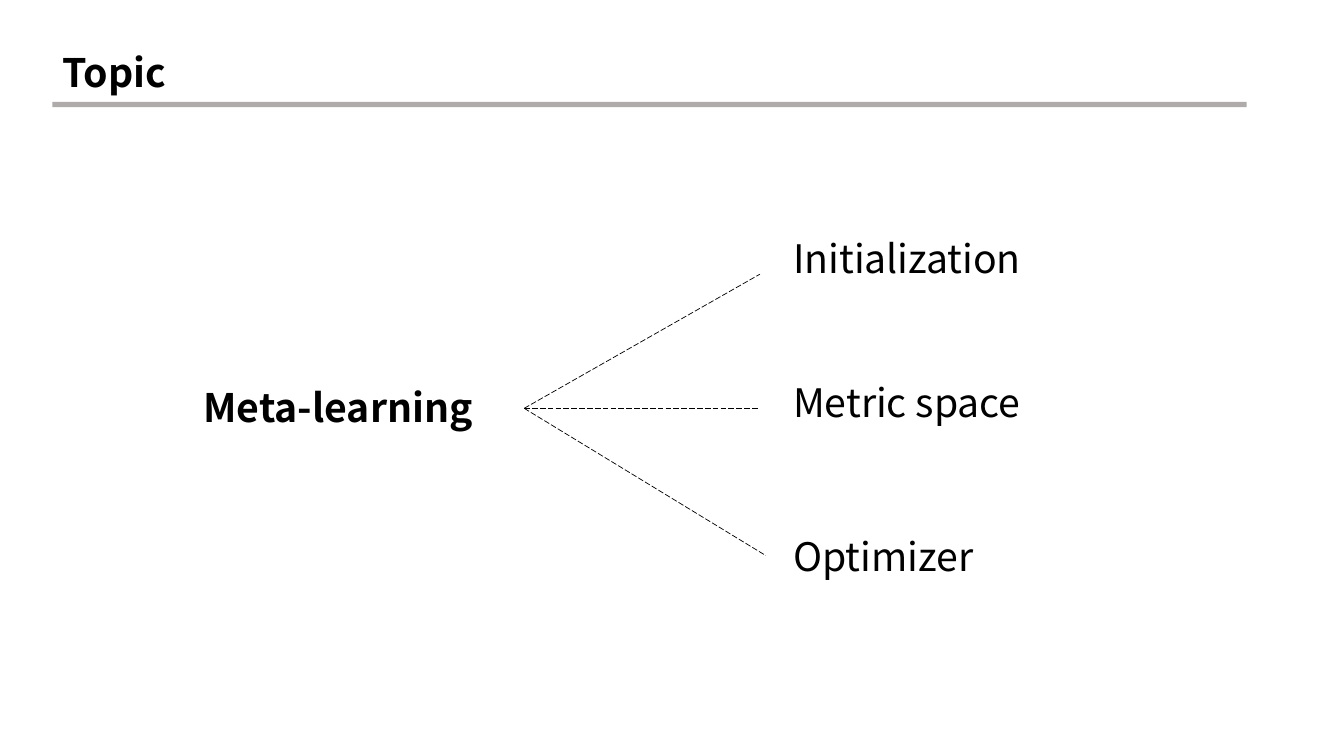
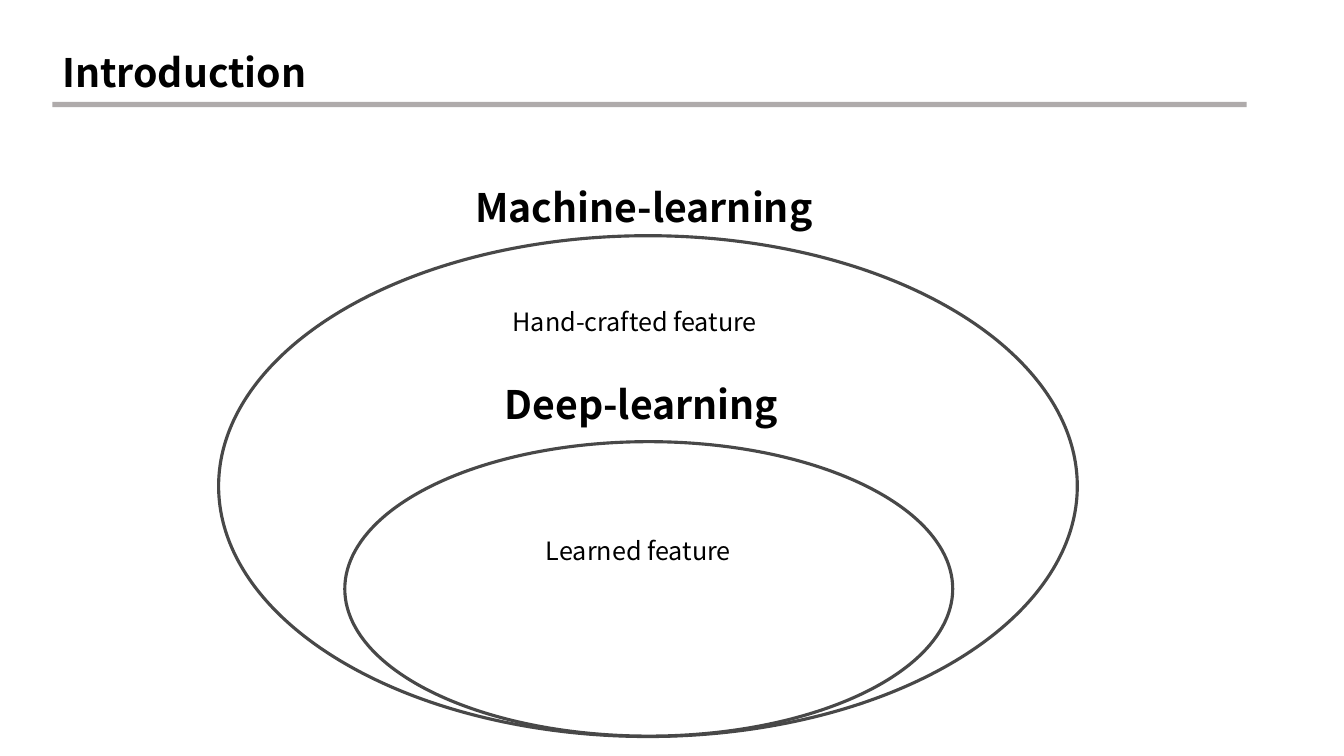
from dataclasses import dataclass

from pptx import Presentation
from pptx.dml.color import RGBColor
from pptx.enum.dml import MSO_LINE
from pptx.enum.shapes import MSO_CONNECTOR, MSO_SHAPE
from pptx.enum.text import MSO_AUTO_SIZE
from pptx.oxml.xmlchemy import OxmlElement
from pptx.util import Cm, Pt

STRAIGHT = MSO_CONNECTOR.STRAIGHT
RECTANGLE = MSO_SHAPE.RECTANGLE
OVAL = MSO_SHAPE.OVAL
LONG_DASH = MSO_LINE.LONG_DASH
GROW = MSO_AUTO_SIZE.SHAPE_TO_FIT_TEXT


@dataclass
class Theme:
    font: str = "Noto Sans CJK KR"
    ink: RGBColor = RGBColor(0x00, 0x00, 0x00)
    paper: RGBColor = RGBColor(0xFF, 0xFF, 0xFF)
    rule: RGBColor = RGBColor(0xAF, 0xAB, 0xAB)
    outline: RGBColor = RGBColor(0x48, 0x48, 0x48)
    large: int = 28
    small: int = 18


theme = Theme()
HEADING = {"size": Pt(theme.large), "bold": True}
TOPIC = {"size": Pt(theme.large), "bold": False}
NOTE = {"size": Pt(theme.small), "bold": False}
BOX_HEIGHT = {HEADING["size"]: 1.45, NOTE["size"]: 1.02}


def add_label(page, text, left, top, width, style):
    height = BOX_HEIGHT[style["size"]]
    box = page.shapes.add_textbox(Cm(left), Cm(top), Cm(width), Cm(height))
    box.text_frame.word_wrap = True
    box.text_frame.auto_size = GROW
    span = box.text_frame.paragraphs[0].add_run()
    span.text = text
    for name, value in {"name": theme.font, **style}.items():
        setattr(span.font, name, value)
    span.font.color.rgb = theme.ink


def add_page(deck, title):
    page = deck.slides.add_slide(deck.slide_layouts[6])
    rule = page.shapes.add_shape(RECTANGLE, Cm(1.32), Cm(2.57), Cm(30.1), Cm(0.13))
    rule.shadow.inherit = False
    rule.fill.solid()
    rule.fill.fore_color.rgb = theme.rule
    rule.line.fill.background()
    add_label(page, title, 1.32, 1.09, 20.35, HEADING)
    return page


deck = Presentation()
deck.slide_width = Cm(33.87)
deck.slide_height = Cm(19.05)

topic_page = add_page(deck, "Topic")
add_label(topic_page, "Meta-learning", 4.88, 9.53, 8.2, HEADING)
fork_x, fork_y = 13.21, 10.29
branches = [
    ("Initialization", 5.77, 19.15, 6.91),
    ("Metric space", 9.4, 19.15, fork_y),
    ("Optimizer", 13.28, 19.3, 14),
]
for text, top, end_x, end_y in branches:
    branch = topic_page.shapes.add_connector(
        STRAIGHT, Cm(fork_x), Cm(fork_y), Cm(end_x), Cm(end_y)
    )
    branch.line.color.rgb = theme.ink
    branch.line.width = Pt(0.5)
    branch.line.dash_style = LONG_DASH
    branch._element.spPr.append(OxmlElement("a:effectLst"))
    add_label(topic_page, text, 19.74, top, 12, TOPIC)

introduction_page = add_page(deck, "Introduction")
ellipses = [
    (5.51, 5.94, 21.64, 12.62),
    (8.69, 11.13, 15.32, 7.42),
]
for bounds in ellipses:
    ellipse = introduction_page.shapes.add_shape(OVAL, *map(Cm, bounds))
    ellipse.shadow.inherit = False
    ellipse.fill.solid()
    ellipse.fill.fore_color.rgb = theme.paper
    ellipse.line.color.rgb = theme.outline
    ellipse.line.width = Pt(2.25)

captions = [
    ("Machine-learning", 11.73, 4.5, 20.35, HEADING),
    ("Hand-crafted feature", 12.67, 7.59, 10.52, NOTE),
    ("Deep-learning", 12.47, 9.47, 20.35, HEADING),
    ("Learned feature", 13.51, 13.36, 10.52, NOTE),
]
for caption in captions:
    add_label(introduction_page, *caption)

deck.save("out.pptx")
